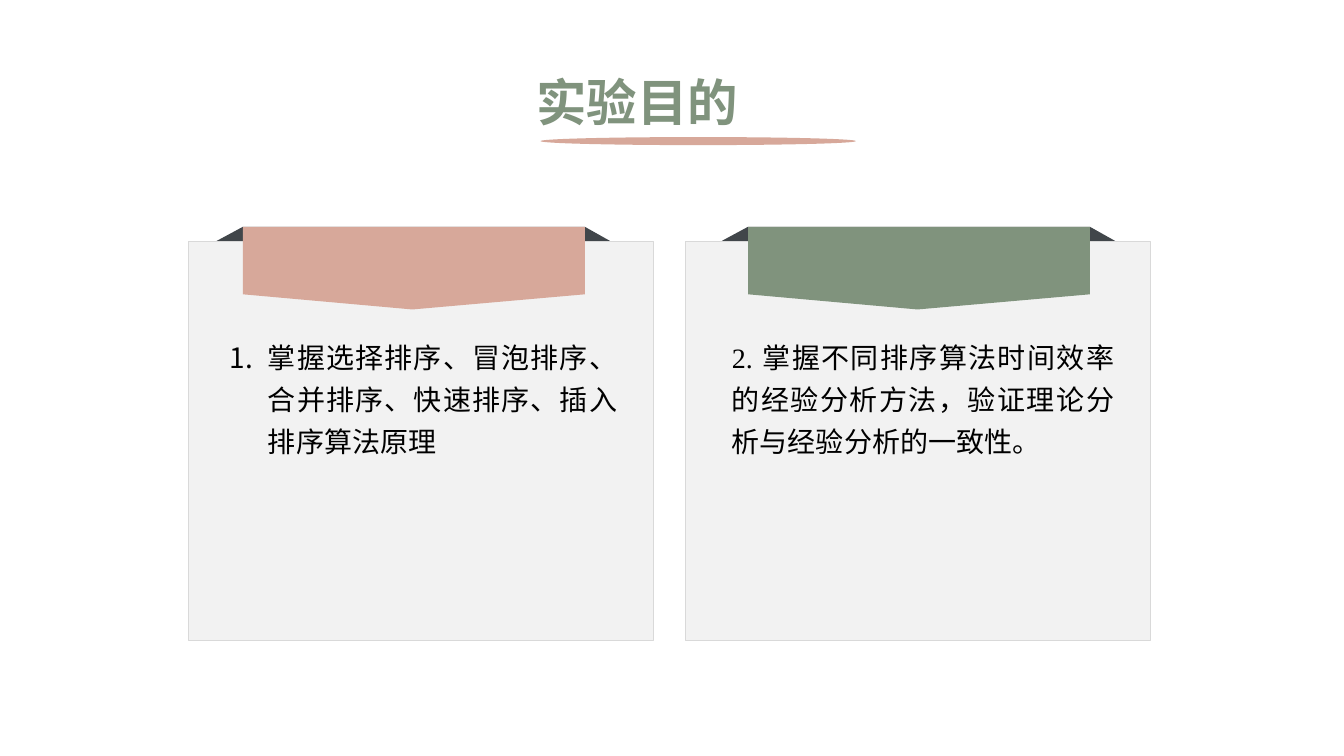
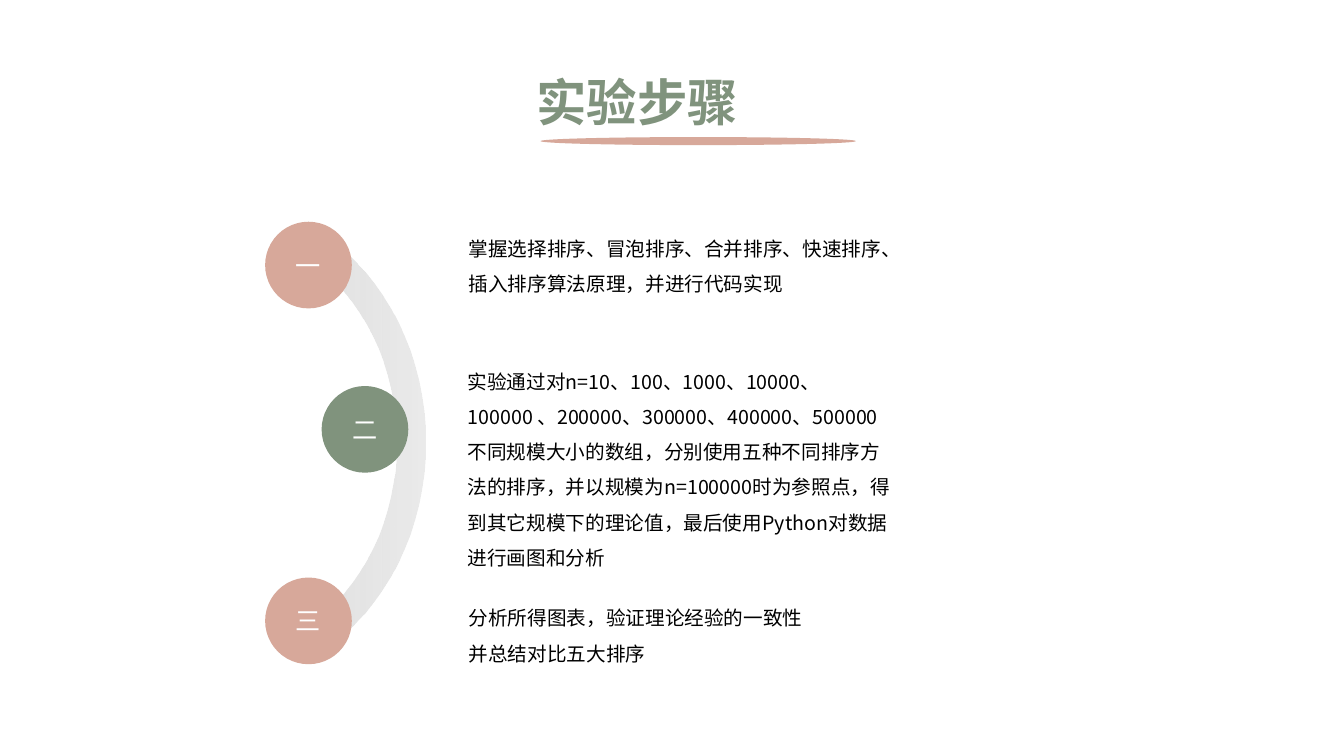
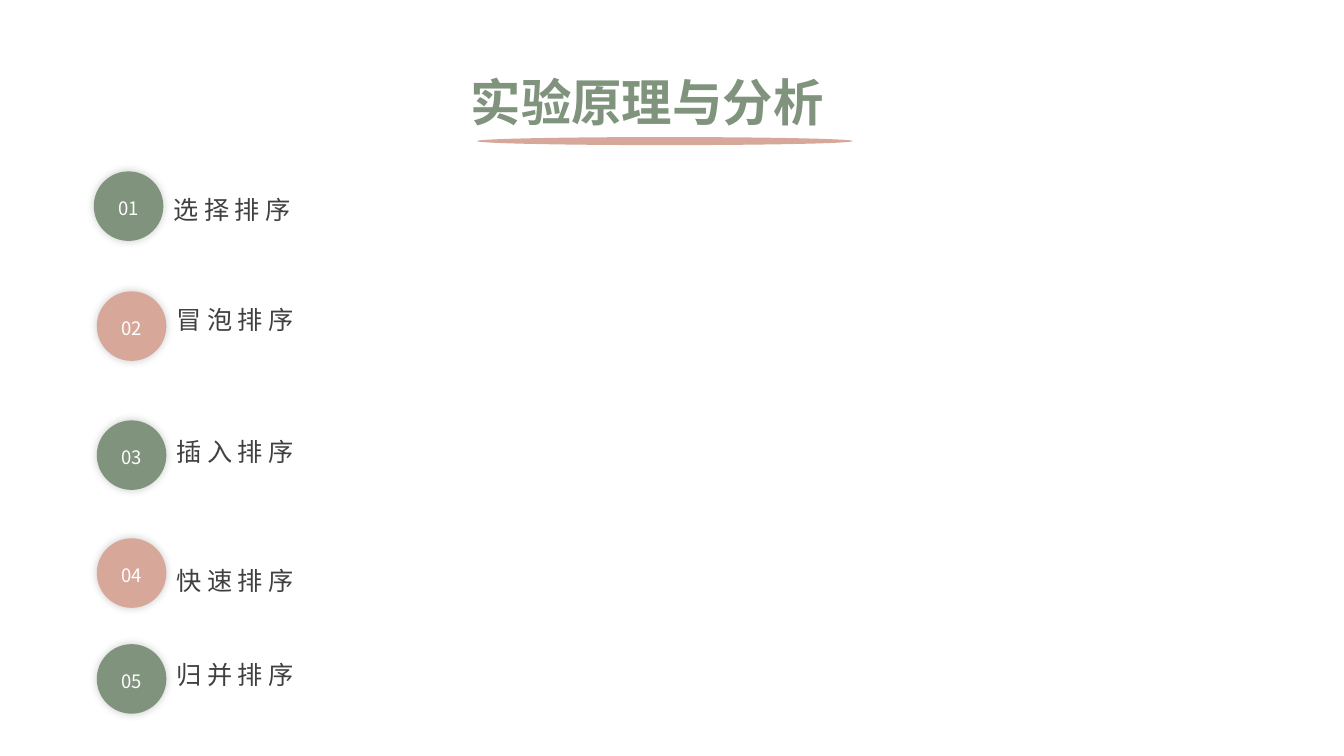
"""Build three slides on a sorting-algorithm experiment."""
from dataclasses import dataclass
from typing import Optional

from lxml.etree import SubElement
from pptx import Presentation
from pptx.dml.color import RGBColor
from pptx.enum.lang import MSO_LANGUAGE_ID as Lang
from pptx.enum.shapes import MSO_SHAPE as Preset
from pptx.enum.text import MSO_ANCHOR as Anchor, MSO_AUTO_SIZE as AutoSize, PP_ALIGN as Align
from pptx.oxml.ns import qn
from pptx.util import Emu, Pt

PX = 9144


@dataclass(frozen=True)
class Theme:
    """Colours, fonts and type sizes shared by all slides."""
    green: str = "80937D"
    rose: str = "D7A89A"
    fold: str = "41464A"
    panel: str = "F2F2F2"
    border: str = "D9D9D9"
    white: str = "FFFFFF"
    black: str = "000000"
    label: str = "404040"
    sans: str = "Noto Sans CJK SC"
    serif: str = "Times New Roman"
    title_size: float = 36
    card_size: float = 20
    label_size: float = 18
    step_size: float = 14
    badge_size: float = 13.2


THEME = Theme()


@dataclass(frozen=True)
class Box:
    """A rectangle in px."""
    left: int
    top: int
    width: int
    height: int

    def emu(self) -> tuple:
        """Return the rectangle in EMU."""
        return tuple(Emu(n * PX) for n in (self.left, self.top, self.width, self.height))


@dataclass(frozen=True)
class Heading:
    """A slide title with its underline."""
    text: str
    box: Box
    rule_left: int
    rule_width: int


@dataclass(frozen=True)
class Card:
    """A panel with a folded ribbon and a statement."""
    left: int
    ribbon_left: int
    color: str
    text: str
    text_left: int
    text_width: int
    numbered: bool = False


@dataclass(frozen=True)
class Step:
    """A numbered disc and the text beside it."""
    numeral: str
    disc_left: int
    disc_top: int
    color: str
    text: str
    text_box: Box


@dataclass(frozen=True)
class Algorithm:
    """A numbered badge and an algorithm name."""
    name: str
    left: int
    badge_top: int
    name_top: int


def rgb(color: str) -> RGBColor:
    """Turn a hex colour into an RGBColor."""
    return RGBColor.from_string(color)


def paint(shape, fill: Optional[str], line: Optional[str] = None) -> None:
    """Set a flat fill and an optional thin line."""
    shape.shadow.inherit = False
    if fill:
        shape.fill.solid()
        shape.fill.fore_color.rgb = rgb(fill)
    if line:
        shape.line.color.rgb = rgb(line)
        shape.line.width = Pt(0.75)
    else:
        shape.line.fill.background()


def add_preset(slide, preset, box: Box, fill: Optional[str], line: Optional[str] = None):
    """Add a painted preset shape."""
    shape = slide.shapes.add_shape(preset, *box.emu())
    paint(shape, fill, line)
    return shape


def add_outline(slide, points: list, fill: str) -> None:
    """Add a painted closed polygon."""
    builder = slide.shapes.build_freeform(*points[0], scale=PX)
    builder.add_line_segments(points[1:], close=True)
    paint(builder.convert_to_shape(), fill)


def number_paragraph(paragraph) -> None:
    """Give a paragraph an automatic number and a hanging indent."""
    properties = paragraph._p.get_or_add_pPr()
    properties.set("marL", str(38 * PX))
    properties.set("indent", str(-38 * PX))
    SubElement(properties, qn("a:buFont"), typeface=THEME.sans)
    SubElement(properties, qn("a:buAutoNum"), type="arabicPeriod")


def write(frame, text: str, *, size: float, color: str, font: str = THEME.sans,
          bold: bool = False, align=Align.LEFT, spacing: Optional[float] = None,
          tracking: int = 0, numbered: bool = False) -> None:
    """Fill a text frame, one paragraph per line of text."""
    frame.word_wrap = True
    for index, line in enumerate(text.split("\n")):
        paragraph = frame.add_paragraph() if index else frame.paragraphs[0]
        paragraph.alignment = align
        if spacing:
            paragraph.line_spacing = spacing
        if numbered:
            number_paragraph(paragraph)
        run = paragraph.add_run()
        run.text = line
        run.font.size = Pt(size)
        run.font.bold = bold
        run.font.name = font
        run.font.color.rgb = rgb(color)
        run.font.language_id = Lang.SIMPLIFIED_CHINESE
        properties = run._r.get_or_add_rPr()
        if tracking:
            properties.set("spc", str(tracking * 100))
        SubElement(properties, qn("a:ea"), typeface=THEME.sans)


def add_text(slide, box: Box, text: str, **style) -> None:
    """Add a wrapping text box that grows with its text."""
    frame = slide.shapes.add_textbox(*box.emu()).text_frame
    write(frame, text, **style)
    frame.auto_size = AutoSize.SHAPE_TO_FIT_TEXT


def add_disc(slide, box: Box, fill: str, text: str, **style):
    """Add a circle with centred white text."""
    disc = add_preset(slide, Preset.OVAL, box, fill)
    disc.text_frame.vertical_anchor = Anchor.MIDDLE
    write(disc.text_frame, text, color=THEME.white, align=Align.CENTER, **style)
    return disc


def add_alpha(color, percent: int) -> None:
    """Make a colour element partly transparent."""
    SubElement(color, qn("a:alpha"), val=str(percent * 1000))


def add_glow_shadow(shape) -> None:
    """Add a soft shadow all around a shape."""
    effects = shape._element.spPr.find(qn("a:effectLst"))
    shadow = SubElement(effects, qn("a:outerShdw"), blurRad=str(Pt(6)), dist="0",
                        dir=str(315 * 60000), algn="ctr", rotWithShape="0")
    add_alpha(SubElement(shadow, qn("a:srgbClr"), val=THEME.black), 20)


def add_heading(slide, heading: Heading) -> None:
    """Draw the title and its underline."""
    add_preset(slide, Preset.OVAL, Box(heading.rule_left, 136, heading.rule_width, 8), THEME.rose)
    add_text(slide, heading.box, heading.text, size=THEME.title_size, color=THEME.green,
             bold=True, align=Align.JUSTIFY)


def add_card(slide, card: Card) -> None:
    """Draw a panel, its ribbon and its statement."""
    top, fold_bottom, side_bottom, tip = 225, 239, 292, 307
    left, right = card.ribbon_left, card.ribbon_left + 339
    add_preset(slide, Preset.RECTANGLE, Box(card.left, 240, 461, 395), THEME.panel, THEME.border)
    add_outline(slide, [(left, top), (right, top), (right + 25, fold_bottom),
                        (left - 26, fold_bottom)], THEME.fold)
    add_outline(slide, [(left, top), (right, top), (right, side_bottom),
                        (left + 168, tip), (left, side_bottom)], card.color)
    add_text(slide, Box(card.text_left, 325, card.text_width, 132), card.text,
             size=THEME.card_size, color=THEME.black, font=THEME.serif,
             align=Align.JUSTIFY, spacing=1.25, numbered=card.numbered)


def add_arc(slide) -> None:
    """Draw the fading arc that links the steps."""
    arc = add_preset(slide, Preset.BLOCK_ARC, Box(-23, 233, 478, 412), None)
    arc.rotation = 90
    for index, value in enumerate((123.57, 201.63, 0.07)):
        arc.adjustments[index] = value
    arc.fill.gradient()
    arc.fill.gradient_angle = 270
    for stop, color in zip(arc.fill.gradient_stops, (THEME.border, THEME.white)):
        stop.color.rgb = rgb(color)
    add_alpha(next(arc._element.spPr.iter(qn("a:srgbClr"))), 51)


def add_algorithm(slide, number: int, algorithm: Algorithm) -> None:
    """Draw a numbered badge and the algorithm name."""
    color = THEME.green if number % 2 else THEME.rose
    badge = add_disc(slide, Box(algorithm.left, algorithm.badge_top, 69, 69), color,
                     f"{number:02d}", size=THEME.badge_size, spacing=1.2)
    frame = badge.text_frame
    frame.margin_left = frame.margin_right = frame.margin_top = frame.margin_bottom = 0
    add_glow_shadow(badge)
    add_text(slide, Box(algorithm.left + 69, algorithm.name_top, 200, 40), algorithm.name,
             size=THEME.label_size, color=THEME.label, tracking=4)


HEADING_BOX = Box(522, 66, 339, 71)
HEADINGS = [
    Heading("实验目的", HEADING_BOX, 536, 313),
    Heading("实验步骤", HEADING_BOX, 536, 313),
    Heading("实验原理与分析", Box(457, 66, 405, 131), 473, 373),
]
CARDS = [
    Card(187, 241, THEME.rose, "掌握选择排序、冒泡排序、合并排序、快速排序、插入排序算法原理",
         218, 404, numbered=True),
    Card(680, 742, THEME.green,
         "2. 掌握不同排序算法时间效率的经验分析方法，验证理论分析与经验分析的一致性。", 716, 399),
]
STEPS = [
    Step("一", 263, 220, THEME.rose,
         "掌握选择排序、冒泡排序、合并排序、快速排序、插入排序算法原理，并进行代码实现",
         Box(455, 218, 440, 77)),
    Step("二", 319, 383, THEME.green,
         "实验通过对n=10、100、1000、10000、100000 、200000、300000、400000、500000"
         "不同规模大小的数组，分别使用五种不同排序方法的排序，并以规模为n=100000时为参照点，"
         "得到其它规模下的理论值，最后使用Python对数据进行画图和分析",
         Box(454, 350, 440, 218)),
    Step("三", 263, 573, THEME.rose, "分析所得图表，验证理论经验的一致性\n并总结对比五大排序",
         Box(455, 585, 440, 108)),
]
ALGORITHMS = [
    Algorithm("选择排序", 93, 170, 188),
    Algorithm("冒泡排序", 96, 289, 297),
    Algorithm("插入排序", 96, 417, 428),
    Algorithm("快速排序", 96, 534, 556),
    Algorithm("归并排序", 96, 639, 649),
]


def main() -> None:
    """Build and save the presentation."""
    deck = Presentation()
    deck.slide_width, deck.slide_height = Emu(1333 * PX), Emu(750 * PX)
    slides = []
    for heading in HEADINGS:
        slide = deck.slides.add_slide(deck.slide_layouts[6])
        add_heading(slide, heading)
        slides.append(slide)
    purpose, procedure, principles = slides

    for card in CARDS:
        add_card(purpose, card)

    add_arc(procedure)
    for step in STEPS:
        add_text(procedure, step.text_box, step.text, size=THEME.step_size,
                 color=THEME.black, spacing=1.5)
        add_disc(procedure, Box(step.disc_left, step.disc_top, 86, 86), step.color,
                 step.numeral, size=THEME.label_size)

    for number, algorithm in enumerate(ALGORITHMS, 1):
        add_algorithm(principles, number, algorithm)

    deck.save("out.pptx")


if __name__ == "__main__":
    main()
